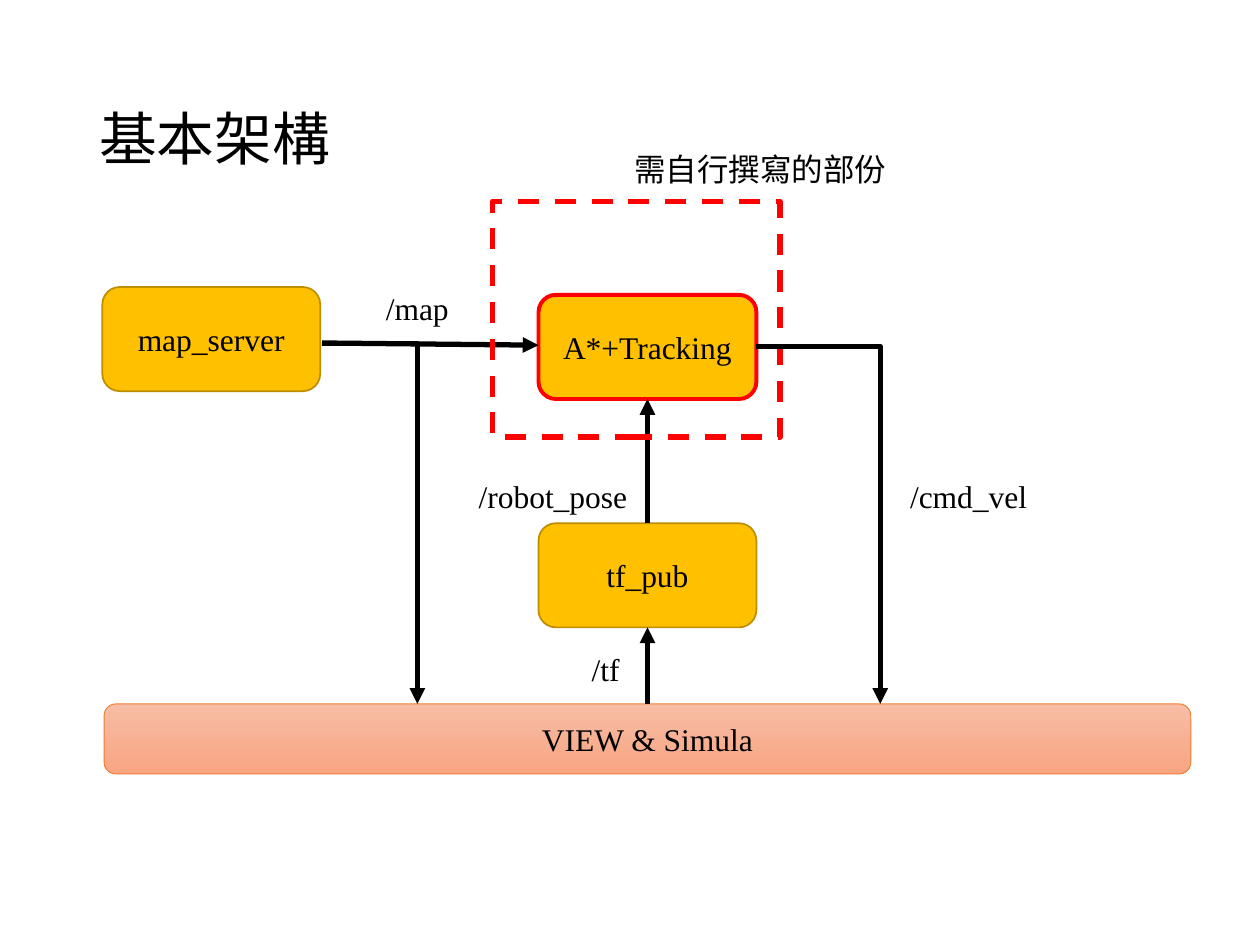
import pptx
import pptx.util
import pptx.dml.color
import pptx.enum.dml
import pptx.enum.shapes
import pptx.enum.text
from pptx.oxml.ns import qn
from lxml import etree

Pt = pptx.util.Pt
Align = pptx.enum.text.PP_ALIGN
Anchor = pptx.enum.text.MSO_ANCHOR
Shape = pptx.enum.shapes.MSO_SHAPE
Connector = pptx.enum.shapes.MSO_CONNECTOR

COLORS = {
    "text": "000000", "arrow": "000000", "highlight": "FF0000",
    "node": "FFC000", "node_line": "BD8E00",
    "base_top": "F7BDA5", "base_bottom": "F8A582", "base_line": "ED7D31",
}


def color(name):
    return pptx.dml.color.RGBColor.from_string(COLORS[name])


def write(frame, text, size=18, align=Align.CENTER, anchor=Anchor.TOP,
          wrap=True, spacing=None, font="Times New Roman"):
    frame.word_wrap = wrap
    frame.vertical_anchor = anchor
    para = frame.paragraphs[0]
    para.alignment = align
    para.line_spacing = spacing
    span = para.add_run()
    span.text = text
    span.font.name = font
    span.font.size = Pt(size)
    span.font.color.rgb = color("text")


class Diagram:
    arrow_width = 3

    def __init__(self, page):
        self.page = page

    def title(self, text, *bounds):
        title = self.page.shapes.title
        title.left, title.top, title.width, title.height = map(Pt, bounds)
        title.text_frame.auto_size = pptx.enum.text.MSO_AUTO_SIZE.NONE
        write(title.text_frame, text, size=33, align=Align.LEFT,
              anchor=Anchor.MIDDLE, spacing=0.9)

    def box(self, kind, bounds, line, line_width):
        box = self.page.shapes.add_shape(kind, *map(Pt, bounds))
        box.shadow.inherit = False
        box.line.color.rgb = color(line)
        box.line.width = Pt(line_width)
        return box

    def node(self, text, left, top, width=124.5, height=59.5,
             line="node_line", line_width=1):
        node = self.box(Shape.ROUNDED_RECTANGLE, (left, top, width, height),
                        line, line_width)
        node.fill.solid()
        node.fill.fore_color.rgb = color("node")
        write(node.text_frame, text, anchor=Anchor.MIDDLE)

    def base(self, text, *bounds):
        base = self.box(Shape.ROUNDED_RECTANGLE, bounds, "base_line", 0.5)
        base.fill.gradient()
        base.fill.gradient_angle = 270
        for stop, name in zip(base.fill.gradient_stops, ("base_top", "base_bottom")):
            stop.color.rgb = color(name)
        base.fill.gradient_stops[0].position = 0
        base.fill.gradient_stops[1].position = 1
        write(base.text_frame, text, anchor=Anchor.MIDDLE)

    def frame(self, *bounds):
        frame = self.box(Shape.RECTANGLE, bounds, "highlight", 3)
        frame.fill.background()
        frame.line.dash_style = pptx.enum.dml.MSO_LINE.DASH

    def label(self, text, left, top, width, **style):
        label = self.page.shapes.add_textbox(*map(Pt, (left, top, width, 29)))
        write(label.text_frame, text, **style)

    def arrow(self, start, end, bent=False):
        kind = Connector.ELBOW if bent else Connector.STRAIGHT
        arrow = self.page.shapes.add_connector(kind, *map(Pt, start + end))
        arrow.line.color.rgb = color("arrow")
        arrow.line.width = Pt(self.arrow_width)
        properties = arrow._element.spPr
        if bent:  # a single corner: across, then down
            properties.find(qn("a:prstGeom")).set("prst", "bentConnector2")
        etree.SubElement(properties.find(qn("a:ln")), qn("a:tailEnd"), type="triangle")
        etree.SubElement(properties, qn("a:effectLst"))


def main():
    deck = pptx.Presentation()
    deck.slide_width, deck.slide_height = Pt(720), Pt(540)
    diagram = Diagram(deck.slides.add_slide(deck.slide_layouts[5]))
    diagram.title("基本架構", 49.5, 28.5, 620.5, 104.5)

    # Shared positions
    column, center = 307.75, 370
    base_top = 402.25
    tracking_top, publisher_top = 168.5, 299

    # Nodes
    diagram.node("map_server", 58.5, 164)
    diagram.node("tf_pub", column, publisher_top)
    diagram.node("A*+Tracking", column, tracking_top,
                 line="highlight", line_width=2.25)

    # Map and pose flow, with the simulation layer
    diagram.arrow((184, 196), (column, 197.25))
    diagram.arrow((center, publisher_top), (center, tracking_top + 59.5))
    diagram.base("VIEW & Simula", 59.5, base_top, 621, 40)
    diagram.arrow((184, 196.5), (238.5, base_top), bent=True)

    # Topic labels
    for text, left, top, width in (
            ("/map", 206.5, 161.75, 64), ("/cmd_vel", 503, 269, 101),
            ("/robot_pose", 262, 269, 108), ("/tf", column, 368, 76.5)):
        diagram.label(text, left, top, width)

    # Part to be written by the reader
    diagram.frame(281.5, 115, 164.25, 134.75)
    diagram.label("需自行撰寫的部份", 355.5, 82, 160, align=Align.LEFT, wrap=False)

    # Command and transform flow
    diagram.arrow((432.25, 198), (503, base_top), bent=True)
    diagram.arrow((center, base_top), (center, publisher_top + 59.5))

    deck.save("out.pptx")


if __name__ == "__main__":
    main()
